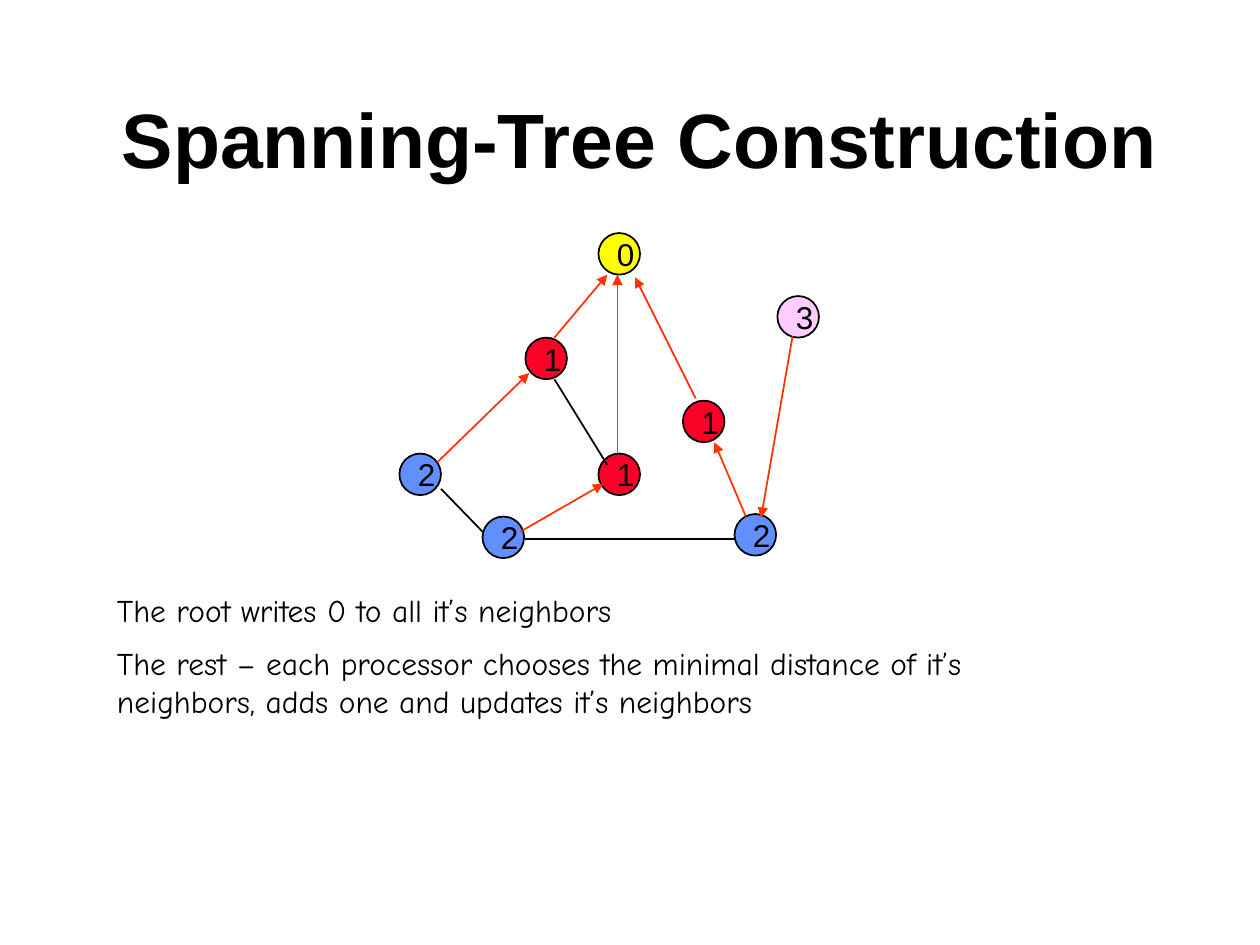
from pptx import Presentation
from pptx.dml.color import RGBColor as RGB
from pptx.enum.shapes import MSO_CONNECTOR as Link, MSO_SHAPE as Shape
from pptx.enum.text import MSO_ANCHOR as Anchor, PP_ALIGN as Align
from pptx.oxml.ns import qn
from pptx.util import Inches, Pt
from lxml.etree import SubElement as Sub

BLACK = RGB(0, 0, 0)
YELLOW = RGB(255, 255, 0)
RED = RGB(0xFC, 0x01, 0x28)
PINK = RGB(0xFF, 0xCC, 0xFF)
BLUE = RGB(0x61, 0x8F, 0xFD)
ORANGE = RGB(0xFF, 0x33, 0x00)

SIZE = 0.33
LEVELS = [YELLOW, RED, BLUE, PINK]
NODES = [
    (0, 4.75, 1.85),
    (1, 5.42, 3.18),
    (3, 6.17, 2.35),
    (2, 5.83, 4.08),
    (1, 4.75, 3.6),
    (1, 4.17, 2.68),
    (2, 3.83, 4.1),
    (2, 3.17, 3.6),
]
TREE = [
    (4.4, 2.68, 4.82, 2.18),
    (4.9, 3.6, 4.9, 2.18),
    (4.13, 4.22, 4.79, 3.84),
    (3.47, 3.67, 4.2, 2.96),
    (6.29, 2.67, 6.04, 4.11),
    (5.52, 3.16, 5.04, 2.2),
    (5.92, 4.1, 5.67, 3.51),
]
EDGES = [
    (3.5, 3.88, 3.83, 4.22),
    (4.17, 4.28, 5.83, 4.28),
    (4.4, 3.01, 4.82, 3.69),
]
RULES = [
    "The root writes 0 to all it’s neighbors",
    "The rest – each processor chooses the minimal distance of it’s "
    "neighbors, adds one and updates it’s neighbors",
]


def add_run(para, text, size, face="Arial", bold=False):
    run = para.add_run()
    run.text = text
    font = run.font
    font.name, font.size, font.bold = face, Pt(size), bold
    font.color.rgb = BLACK


def add_box(slide, left, top, width, height):
    box = slide.shapes.add_textbox(*map(Inches, (left, top, width, height)))
    box.text_frame.word_wrap = True
    return box.text_frame


def add_title(slide, text):
    frame = add_box(slide, 0.83, 0.47, 8.5, 1.25)
    frame.vertical_anchor = Anchor.MIDDLE
    para = frame.paragraphs[0]
    para.alignment = Align.CENTER
    add_run(para, text, 44, bold=True)


def add_node(slide, level, left, top):
    node = slide.shapes.add_shape(
        Shape.OVAL, *map(Inches, (left, top, SIZE, SIZE)))
    node.shadow.inherit = False
    node.fill.solid()
    node.fill.fore_color.rgb = LEVELS[level]
    node.line.color.rgb = BLACK
    node.line.width = Pt(1)
    frame = node.text_frame
    frame.word_wrap = False
    frame.vertical_anchor = Anchor.MIDDLE
    para = frame.paragraphs[0]
    para.alignment = Align.LEFT
    add_run(para, str(level), 18)


def add_edge(slide, ends, color, arrow=False):
    edge = slide.shapes.add_connector(Link.STRAIGHT, *map(Inches, ends))
    edge.line.color.rgb = color
    edge.line.width = Pt(1)
    if arrow:
        Sub(edge.line._get_or_add_ln(), qn("a:tailEnd"), type="triangle")
    Sub(edge._element.spPr, qn("a:effectLst"))


def add_rules(slide, rules):
    frame = add_box(slide, 0.83, 4.64, 7.67, 1.9)
    for i, rule in enumerate(rules):
        para = frame.add_paragraph() if i else frame.paragraphs[0]
        para.space_before = Pt(9)
        add_run(para, rule, 18, "Comic Neue")


def main():
    deck = Presentation()
    deck.slide_width, deck.slide_height = Inches(10), Inches(7.5)
    slide = deck.slides.add_slide(deck.slide_layouts[6])
    add_title(slide, "Spanning-Tree Construction")
    for node in NODES:
        add_node(slide, *node)
    for ends in TREE:
        add_edge(slide, ends, ORANGE, arrow=True)
    for ends in EDGES:
        add_edge(slide, ends, BLACK)
    add_rules(slide, RULES)
    deck.save("out.pptx")


if __name__ == "__main__":
    main()
